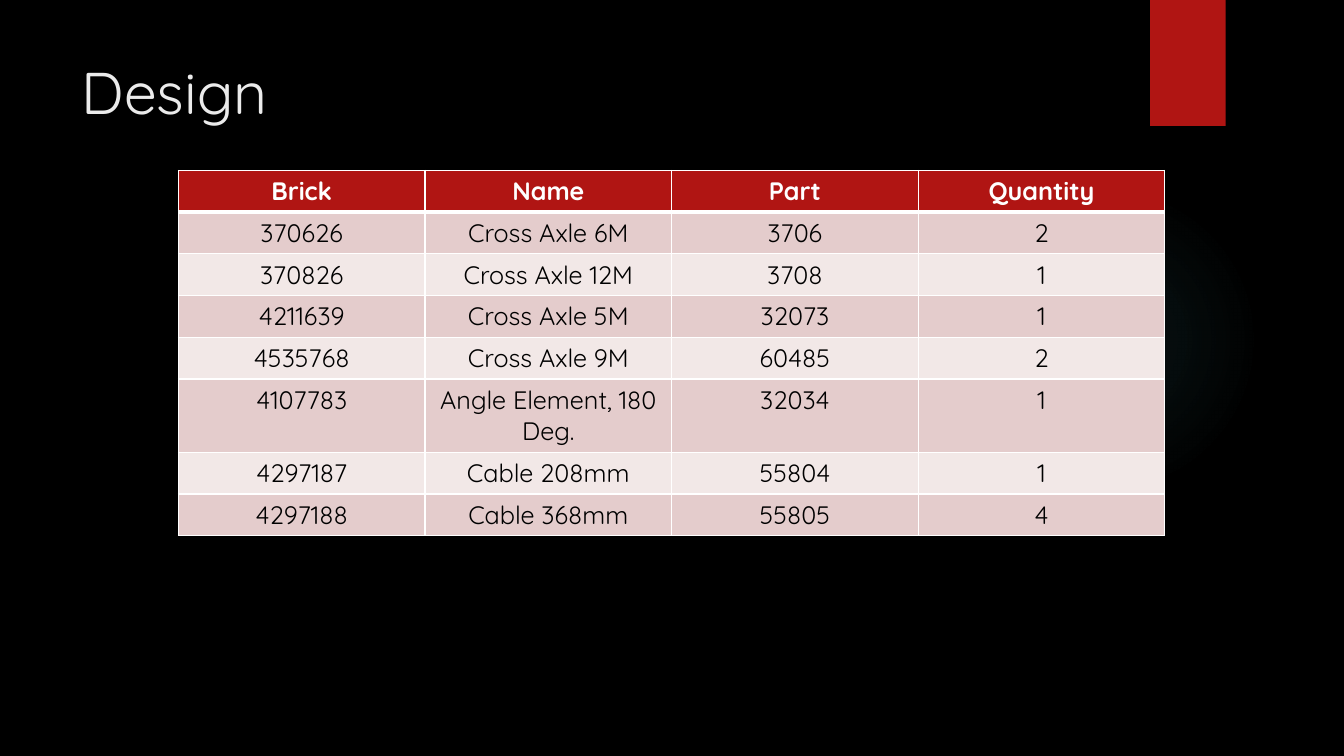
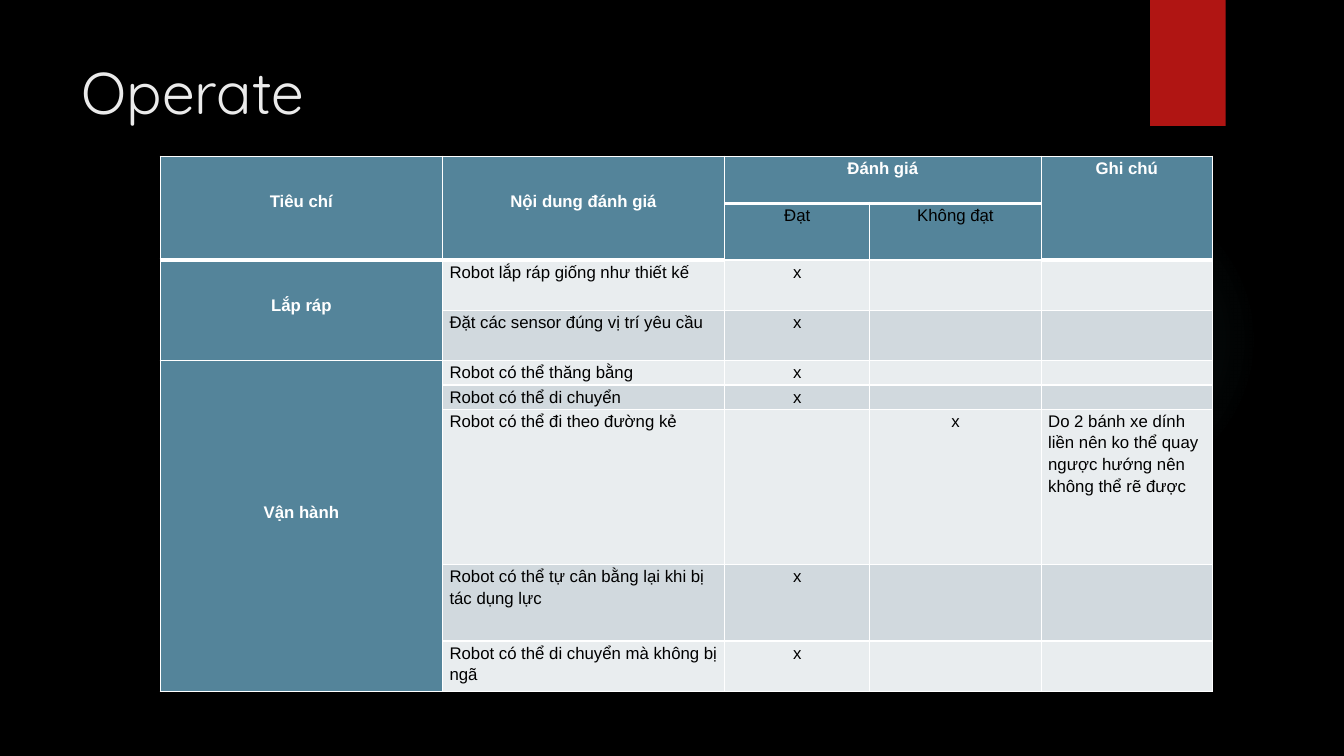
from dataclasses import dataclass, field

from lxml import etree
from pptx import Presentation
from pptx import util as u
from pptx.dml.color import RGBColor
from pptx.enum import shapes, text
from pptx.oxml import parse_xml
from pptx.oxml.ns import nsdecls, qn

COLORS = {
    "background": "000000", "title": "EBEBEB", "accent": "B01513", "glow": "50B9C1",
    "white": "FFFFFF", "black": "000000", "steel": "54849A",
    "rose": "E4CCCC", "pale_rose": "F2E8E7", "mist": "E9EDEF", "grey": "D1D9DE",
}
HEADING_FONT = "Quicksand"
COLS, ROWS = 80, 45
SLIDE_W, SLIDE_H = u.Inches(13.333), u.Inches(7.5)


@dataclass(frozen=True)
class Box:
    """A place in columns and rows of the slide grid."""
    col: float
    row: float
    cols: float
    rows: float

    def place(self) -> tuple[int, int, int, int]:
        return across(self.col), down(self.row), across(self.cols), down(self.rows)


@dataclass(frozen=True)
class TableSpec:
    """Table content and look; widths, heights and pads are in grid units."""
    col: float
    row: float
    widths: list[float]
    heights: list[float]
    cells: list[list[str]]
    font: str
    size: int
    header: str
    bands: tuple[str, str]
    head_rows: int = 1
    head_cols: int = 0
    left_cols: tuple[int, ...] = ()
    margins: tuple[float, float] = (0.1, 0.05)
    line_spacing: float = 1.0
    merges: list[tuple[int, int, int, int]] = field(default_factory=list)
    pads: dict[tuple[int, int], float] = field(default_factory=dict)


GLOW = Box(56.46, 10.98, 18.48, 18.48)
RIBBON = Box(68.46, 0, 4.5, 7.5)
TITLE = Box(4.26, 3, 61.74, 9.18)

PARTS = TableSpec(
    col=10.62, row=10.14, widths=[14.68] * 4,
    heights=[2.48] * 5 + [4.36] + [2.48] * 2,
    font=HEADING_FONT, size=18, header="accent", bands=("rose", "pale_rose"),
    cells=[
        ["Brick", "Name", "Part", "Quantity"],
        ["370626", "Cross Axle 6M", "3706", "2"],
        ["370826", "Cross Axle 12M", "3708", "1"],
        ["4211639", "Cross Axle 5M", "32073", "1"],
        ["4535768", "Cross Axle 9M", "60485", "2"],
        ["4107783", "Angle Element, 180 Deg.", "32034", "1"],
        ["4297187", "Cable 208mm", "55804", "1"],
        ["4297188", "Cable 368mm", "55805", "4"],
    ],
)

EVALUATION = TableSpec(
    col=9.54, row=9.3, widths=[16.8, 16.8, 8.64, 10.2, 10.2],
    heights=[2.82, 3.36, 3, 3, 1.44, 1.44, 9.24, 4.56, 3],
    font="Arial", size=12, header="steel", bands=("mist", "grey"),
    head_rows=2, head_cols=1, left_cols=(1, 4), margins=(0.07, 0), line_spacing=1.15,
    merges=[(0, 0, 1, 0), (0, 1, 1, 1), (0, 2, 0, 3), (0, 4, 1, 4), (2, 0, 3, 0), (4, 0, 8, 0)],
    pads={(0, 0): 2, (0, 1): 2, (2, 0): 2, (4, 0): 8.3},
    cells=[
        ["Tiêu chí", "Nội dung đánh giá", "Đánh giá", "", "Ghi chú"],
        ["", "", "Đạt", "Không đạt", ""],
        ["Lắp ráp", "Robot lắp ráp giống như thiết kế", "x", "", ""],
        ["", "Đặt các sensor đúng vị trí yêu cầu", "x", "", ""],
        ["Vận hành", "Robot có thể thăng bằng", "x", "", ""],
        ["", "Robot có thể di chuyển", "x", "", ""],
        ["", "Robot có thể đi theo đường kẻ", "", "x",
         "Do 2 bánh xe dính liền nên ko thể quay ngược hướng nên không thể rẽ được"],
        ["", "Robot có thể tự cân bằng lại khi bị tác dụng lực", "x", "", ""],
        ["", "Robot có thể di chuyển mà không bị ngã", "x", "", ""],
    ],
)


def across(cols: float) -> int:
    return round(SLIDE_W * cols / COLS)


def down(rows: float) -> int:
    return round(SLIDE_H * rows / ROWS)


def rgb(name: str) -> RGBColor:
    return RGBColor.from_string(COLORS[name])


def add_plain_shape(slide, kind, box: Box, color: str):
    sp = slide.shapes.add_shape(kind, *box.place())
    sp.shadow.inherit = False
    sp.fill.solid()
    sp.fill.fore_color.rgb = rgb(color)
    sp.line.fill.background()
    return sp


def decorate(layout, slide) -> None:
    """Draw the glow and ribbon, then move them to the layout that all slides share."""
    layout.background.fill.solid()
    layout.background.fill.fore_color.rgb = rgb("background")

    glow = add_plain_shape(slide, shapes.MSO_SHAPE.OVAL, GLOW, "glow")
    stops = "".join(
        f'<a:gs pos="{pos * 1000}"><a:srgbClr val="{COLORS["glow"]}">'
        f'<a:alpha val="{alpha * 1000}"/></a:srgbClr></a:gs>'
        for pos, alpha in ((0, 7), (36, 6), (69, 0), (100, 0)))
    gradient = parse_xml(
        f'<a:gradFill {nsdecls("a")}><a:gsLst>{stops}</a:gsLst><a:path path="circle">'
        '<a:fillToRect l="50000" t="50000" r="50000" b="50000"/></a:path></a:gradFill>')
    props = glow.element.spPr
    props.replace(props.find(qn("a:solidFill")), gradient)

    ribbon = add_plain_shape(slide, shapes.MSO_SHAPE.RECTANGLE, RIBBON, "accent")
    ribbon.element.spPr.find(qn("a:effectLst")).append(parse_xml(
        f'<a:outerShdw {nsdecls("a")} blurRad="{u.Pt(3)}" dist="{u.Pt(2)}" dir="5400000">'
        f'<a:srgbClr val="{COLORS["black"]}"><a:alpha val="45000"/></a:srgbClr></a:outerShdw>'))

    for sp in (glow, ribbon):
        layout.shapes.element.append(sp.element)


def set_title(slide, title: str) -> None:
    sp = slide.shapes.title
    sp.left, sp.top, sp.width, sp.height = TITLE.place()
    tf = sp.text_frame
    tf.text = title
    tf.vertical_anchor = text.MSO_ANCHOR.TOP
    p = tf.paragraphs[0]
    p.alignment = text.PP_ALIGN.LEFT
    p.font.name, p.font.size = HEADING_FONT, u.Pt(42)
    p.font.color.rgb = rgb("title")


def set_borders(cell, widths: dict[str, float]) -> None:
    """Add white borders ahead of the cell's fill; keys are L, R, T and B in that order."""
    props = cell._tc.get_or_add_tcPr()
    for i, (side, width) in enumerate(widths.items()):
        props.insert(i, parse_xml(
            f'<a:ln{side} {nsdecls("a")} w="{u.Pt(width)}"><a:solidFill>'
            f'<a:srgbClr val="{COLORS["white"]}"/></a:solidFill></a:ln{side}>'))


def fill_cell(cell, spec: TableSpec, r: int, c: int) -> None:
    in_header = r < spec.head_rows
    shaded = in_header or c < spec.head_cols
    heading = r == 0 or c < spec.head_cols
    cell.fill.solid()
    cell.fill.fore_color.rgb = rgb(
        spec.header if shaded else spec.bands[(r - spec.head_rows) % 2])

    side, top = (u.Inches(m) for m in spec.margins)
    cell.margin_left = cell.margin_right = side
    cell.margin_top = top + down(spec.pads.get((r, c), 0))
    cell.margin_bottom = top

    p = cell.text_frame.paragraphs[0]
    left = c in spec.left_cols and not in_header
    p.alignment = text.PP_ALIGN.LEFT if left else text.PP_ALIGN.CENTER
    p.line_spacing = spec.line_spacing
    p.font.name, p.font.size, p.font.bold = spec.font, u.Pt(spec.size), heading
    p.font.color.rgb = rgb("white" if heading else "black")
    if spec.cells[r][c]:
        p.add_run().text = spec.cells[r][c]
    else:
        etree.SubElement(p._p, qn("a:endParaRPr"), sz=str(spec.size * 100))

    thick = r == 0 or (in_header and cell.is_spanned)
    borders = {"L": 1, "R": 1, "T": 1, "B": 3 if thick else 1}
    if 0 < r <= spec.head_rows:
        del borders["T"]
    set_borders(cell, borders)


def add_grid_table(slide, spec: TableSpec) -> None:
    box = Box(spec.col, spec.row, sum(spec.widths), sum(spec.heights))
    table = slide.shapes.add_table(len(spec.heights), len(spec.widths), *box.place()).table
    table.first_row = table.horz_banding = False
    for column, width in zip(table.columns, spec.widths):
        column.width = across(width)
    for row, height in zip(table.rows, spec.heights):
        row.height = down(height)
    for top, left, bottom, right in spec.merges:
        table.cell(top, left).merge(table.cell(bottom, right))
    for r in range(len(spec.heights)):
        for c in range(len(spec.widths)):
            fill_cell(table.cell(r, c), spec, r, c)


def main() -> None:
    prs = Presentation()
    prs.slide_width, prs.slide_height = SLIDE_W, SLIDE_H
    layout = prs.slide_layouts[5]
    for title, spec in (("Design", PARTS), ("Operate", EVALUATION)):
        slide = prs.slides.add_slide(layout)
        if len(prs.slides) == 1:
            decorate(layout, slide)
        set_title(slide, title)
        add_grid_table(slide, spec)
    prs.save("out.pptx")


if __name__ == "__main__":
    main()
